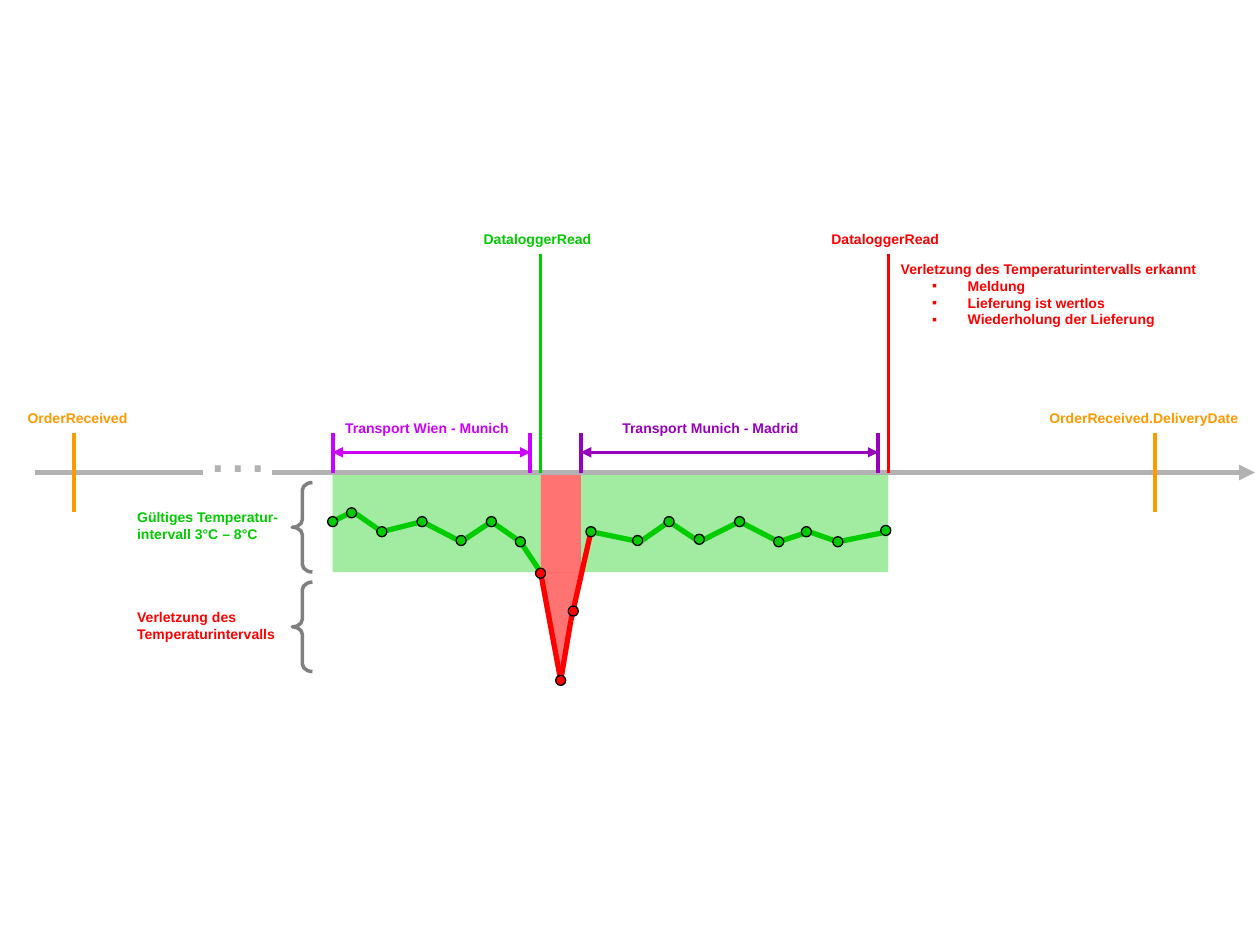
from lxml import etree
from pptx import Presentation
from pptx.dml.color import RGBColor
from pptx.enum.shapes import MSO_CONNECTOR, MSO_SHAPE
from pptx.oxml.ns import qn
from pptx.util import Pt

LINE = MSO_CONNECTOR.STRAIGHT
RECTANGLE, TRIANGLE = MSO_SHAPE.RECTANGLE, MSO_SHAPE.ISOSCELES_TRIANGLE
OVAL, BRACE = MSO_SHAPE.OVAL, MSO_SHAPE.LEFT_BRACE
EMU_PER_PX = 9144
FONT = "Arial"

GREEN, RED, ORANGE = "00CC00", "FF0000", "FF9900"
PINK, PURPLE, SILVER, GRAY, BLACK = "CC00FF", "9800BC", "B2B2B2", "808080", "000000"

AXIS, LIMIT, PEAK = 375, 454, 541
START, FIRST_READ, SECOND_LEG, LAST_READ = 264, 429, 461, 705
DOT = 8

ZONES = [
    (RECTANGLE, SECOND_LEG, AXIS, LAST_READ, LIMIT, GREEN, 37),
    (RECTANGLE, FIRST_READ, AXIS, SECOND_LEG, LIMIT, RED, 55),
    (RECTANGLE, START, AXIS, FIRST_READ, LIMIT, GREEN, 37),
    (TRIANGLE, FIRST_READ, LIMIT, SECOND_LEG, PEAK, RED, 55),
]
AXIS_PARTS = [(28, 161, ()), (216, 996, ("tailEnd",))]
EVENTS = [
    (59, 344, 406, ORANGE, 2.25),
    (917, 344, 406, ORANGE, 2.25),
    (FIRST_READ, 202, AXIS, GREEN, 2),
    (LAST_READ, 202, AXIS, RED, 2),
]
TRANSPORTS = [(START, 421, PINK), (SECOND_LEG, 697, PURPLE)]
BRACE_TOPS = [383, 462]
LABELS = [
    (12, 320, 108, 24, ORANGE, ["OrderReceived"]),
    (823, 320, 176, 24, ORANGE, ["OrderReceived.DeliveryDate"]),
    (264, 328, 158, 24, PINK, ["Transport Wien - Munich"]),
    (484, 328, 168, 24, PURPLE, ["Transport Munich - Madrid"]),
    (374, 178, 114, 24, GREEN, ["DataloggerRead"]),
    (650, 178, 114, 24, RED, ["DataloggerRead"]),
    (99, 399, 140, 37, GREEN, ["Gültiges Temperatur-", "intervall 3°C – 8°C"]),
    (99, 478, 140, 37, RED, ["Verletzung des", "Temperaturintervalls"]),
]
ALERT = "Verletzung des Temperaturintervalls erkannt"
ACTIONS = [" Meldung", " Lieferung ist wertlos", " Wiederholung der Lieferung"]
READINGS = [
    ((264, 414), (264, 414), GREEN), ((280, 406), (279, 407), GREEN),
    ((303, 422), (303, 422), GREEN), ((335, 414), (335, 414), GREEN),
    ((366, 430), (366, 429), GREEN), ((390, 414), (390, 414), GREEN),
    ((413, 430), (413, 430), GREEN), ((429, 454), (429, 455), RED),
    ((445, 540), (445, 540), RED), ((453, 493), (455, 485), RED),
    ((469, 422), (469, 422), GREEN), ((508, 430), (506, 429), GREEN),
    ((531, 414), (531, 414), GREEN), ((555, 430), (555, 428), GREEN),
    ((587, 414), (587, 414), GREEN), ((618, 430), (618, 430), GREEN),
    ((642, 422), (640, 422), GREEN), ((665, 430), (665, 430), GREEN),
    ((705, 422), (703, 421), GREEN),
]


def px(*values):
    return [int(value * EMU_PER_PX) for value in values]


def paint(target, color):
    target.solid()
    target.fore_color.rgb = RGBColor.from_string(color)


def add_line(page, x1, y1, x2, y2, color, width, arrows=()):
    line = page.shapes.add_connector(LINE, *px(x1, y1, x2, y2))
    paint(line.line.fill, color)
    line.line.width = Pt(width)
    stroke = line._element.spPr.find(qn("a:ln"))
    for end in arrows:
        etree.SubElement(stroke, qn("a:" + end), type="triangle")
    etree.SubElement(line._element.spPr, qn("a:effectLst"))


def add_shape(page, kind, left, top, width, height, fill=None, outline=None, weight=0.75):
    shape = page.shapes.add_shape(kind, *px(left, top, width, height))
    shape.shadow.inherit = False
    if fill:
        paint(shape.fill, fill)
    else:
        shape.fill.background()
    if outline:
        paint(shape.line.fill, outline)
        shape.line.width = Pt(weight)
    else:
        shape.line.fill.background()
    return shape


def add_zone(page, kind, left, top, right, bottom, color, opacity):
    zone = add_shape(page, kind, left, top, right - left, bottom - top, color)
    fill_color = zone._element.spPr.find(qn("a:solidFill"))[0]
    etree.SubElement(fill_color, qn("a:alpha"), val=str(opacity * 1000))
    if kind == TRIANGLE:
        zone.rotation = 180


def add_bullet(para, color):
    para.level = 1
    properties = para._p.get_or_add_pPr()
    left, indent = px(50, -25)
    properties.set("marL", str(left))
    properties.set("indent", str(indent))
    bullet_color = etree.SubElement(properties, qn("a:buClr"))
    etree.SubElement(bullet_color, qn("a:srgbClr"), val=color)
    etree.SubElement(properties, qn("a:buFont"), typeface=FONT)
    etree.SubElement(properties, qn("a:buChar"), char="▪")


def add_text(page, left, top, width, height, color, lines, bullets=(), size=8, bold=True):
    frame = page.shapes.add_textbox(*px(left, top, width, height)).text_frame
    frame.word_wrap = True
    for index, text in enumerate([*lines, *bullets]):
        para = frame.add_paragraph() if index else frame.paragraphs[0]
        if index >= len(lines):
            add_bullet(para, color)
        span = para.add_run()
        span.text = text
        span.font.name, span.font.size, span.font.bold = FONT, Pt(size), bold
        span.font.color.rgb = RGBColor.from_string(color)


def main():
    """Build the slide with the temperature timeline of a delivery."""
    deck = Presentation()
    deck.slide_width, deck.slide_height = px(1000, 750)
    page = deck.slides.add_slide(deck.slide_layouts[6])

    for zone in ZONES:
        add_zone(page, *zone)
    for left, right, arrows in AXIS_PARTS:
        add_line(page, left, AXIS, right, AXIS, SILVER, 3, arrows)
    for left, right, color in TRANSPORTS:
        add_line(page, left, 359, right, 359, color, 1.5, ("headEnd", "tailEnd"))
        for x in (left, right):
            add_line(page, x, 344, x, AXIS, color, 2.25)
    for x, top, bottom, color, width in EVENTS:
        add_line(page, x, top, x, bottom, color, width)
    for top in BRACE_TOPS:
        brace = add_shape(page, BRACE, 232, top, 16, 71, outline=GRAY, weight=2)
        brace.adjustments[0] = 0.38

    for label in LABELS:
        add_text(page, *label)
    add_text(page, 705, 202, 295, 64, RED, [ALERT], ACTIONS)
    add_text(page, 154, 320, 78, 70, SILVER, ["…"], size=36, bold=False)

    for (start, _, color), (end, _, _) in zip(READINGS, READINGS[1:]):
        add_line(page, *start, *end, color, 3)
    for _, (x, y), color in READINGS:
        add_shape(page, OVAL, x - DOT / 2, y - DOT / 2, DOT, DOT, color, BLACK)

    deck.save("out.pptx")


if __name__ == "__main__":
    main()
